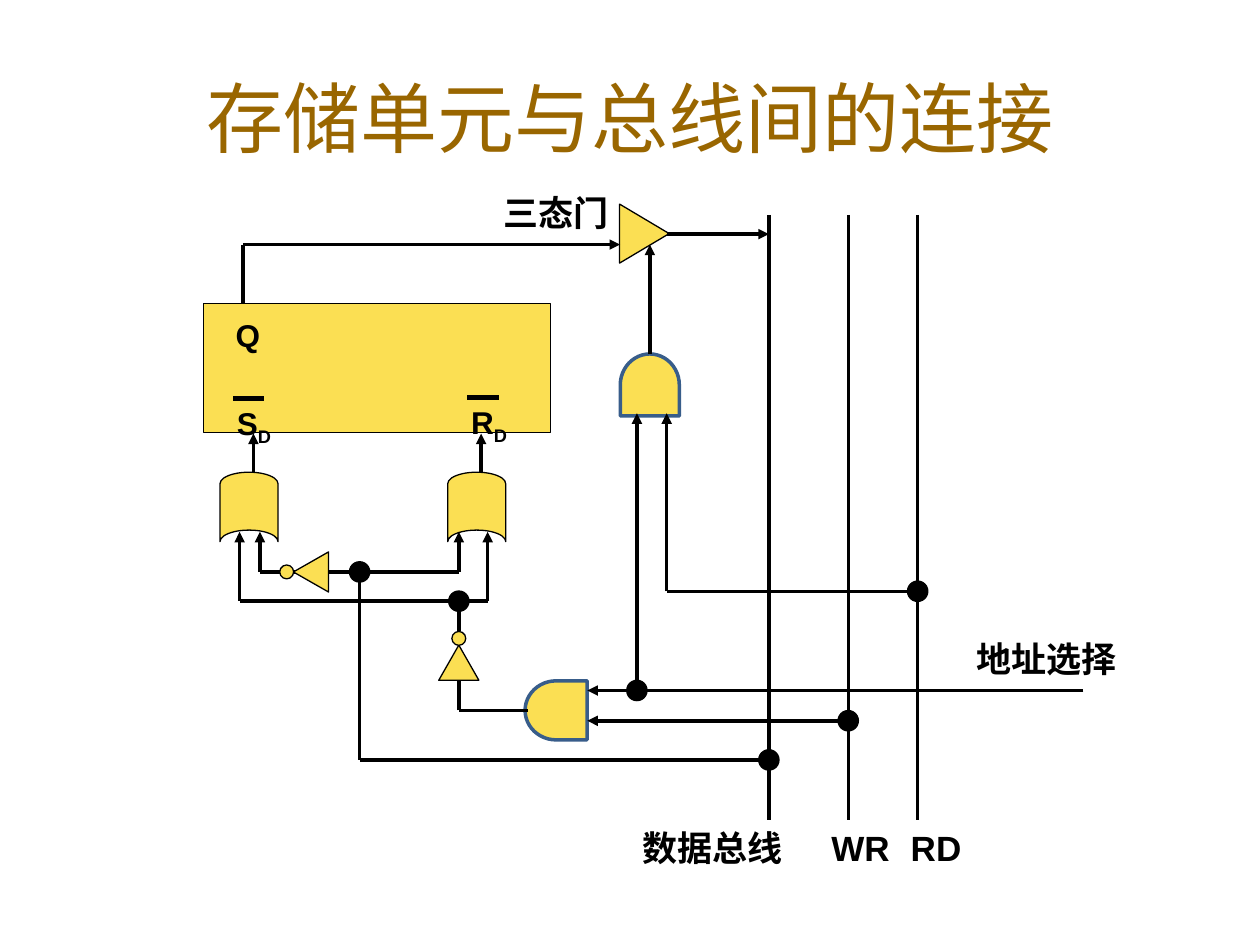
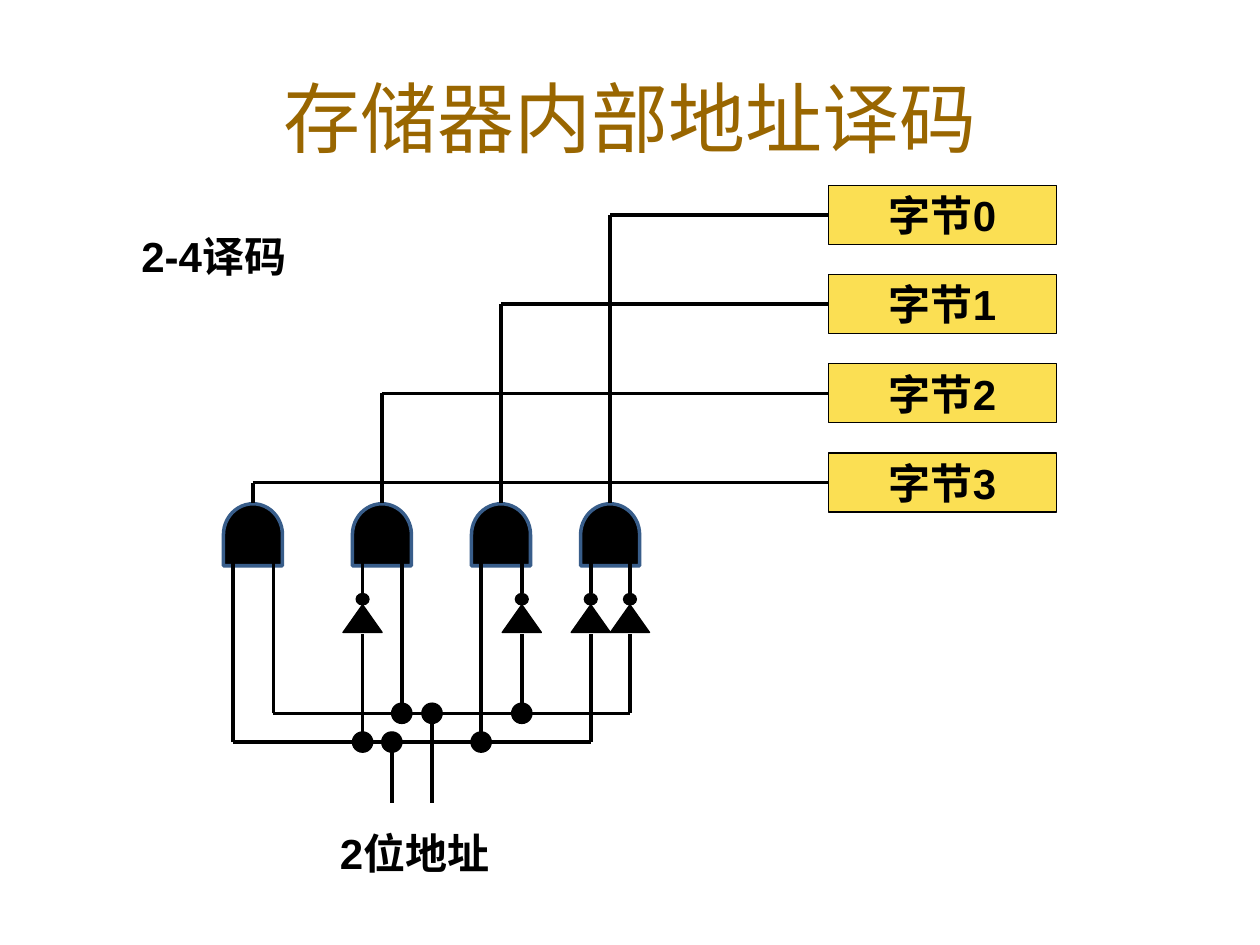
from itertools import pairwise

from lxml.etree import SubElement
from pptx import Presentation
from pptx.dml.color import RGBColor
from pptx.enum.shapes import MSO_CONNECTOR, MSO_SHAPE
from pptx.enum.text import MSO_ANCHOR, MSO_AUTO_SIZE, PP_ALIGN
from pptx.oxml.ns import qn
from pptx.util import Cm, Pt

COLORS = {
    "title": "996600",
    "ink": "000000",
    "block": "FBDF53",
    "gate_edge": "385D8A",
}
FONT = "Arial"
LEFT_SIDE = 1


def rgb(name):
    return RGBColor.from_string(COLORS[name])


class CircuitDeck:
    """Holds the presentation, its style and the slide being drawn; lengths are in cm."""

    def __init__(self):
        self.deck = Presentation()
        self.deck.slide_width, self.deck.slide_height = Cm(25.4), Cm(19.05)
        self.slide = None

    def new_slide(self, title):
        self.slide = self.deck.slides.add_slide(self.deck.slide_layouts[5])
        heading = self.slide.shapes.title
        heading.left, heading.top = Cm(1.27), Cm(0.76)
        heading.width, heading.height = Cm(22.86), Cm(3.18)
        frame = heading.text_frame
        frame.vertical_anchor = MSO_ANCHOR.MIDDLE
        frame.paragraphs[0].alignment = PP_ALIGN.CENTER
        self.add_run(frame, title, 44, "title", bold=False)

    def add_run(self, frame, text, size, color="ink", bold=True):
        run = frame.paragraphs[0].add_run()
        run.text = text
        font = run.font
        font.name, font.size, font.bold = FONT, Pt(size), bold
        font.color.rgb = rgb(color)
        return run

    def label(self, text, left, top, width, height, size=20, subscript=""):
        box = self.slide.shapes.add_textbox(Cm(left), Cm(top), Cm(width), Cm(height))
        frame = box.text_frame
        frame.word_wrap = False
        frame.auto_size = MSO_AUTO_SIZE.SHAPE_TO_FIT_TEXT
        self.add_run(frame, text, size)
        if subscript:
            frame.paragraphs[0].alignment = PP_ALIGN.CENTER
            lowered = self.add_run(frame, subscript, size)
            lowered.font._element.set("baseline", "-25000")

    def symbol(self, kind, x, y, width, height, fill="block", rotation=0,
               edge="ink", weight=0.75):
        """Draws a preset shape centred on (x, y)."""
        shape = self.slide.shapes.add_shape(
            kind, Cm(x - width / 2), Cm(y - height / 2), Cm(width), Cm(height))
        shape.shadow.inherit = False
        shape.rotation = rotation
        shape.fill.solid()
        shape.fill.fore_color.rgb = rgb(fill)
        shape.line.color.rgb = rgb(edge)
        shape.line.width = Pt(weight)
        return shape

    def block(self, x, y, width, height, text=""):
        block = self.symbol(MSO_SHAPE.RECTANGLE, x, y, width, height)
        if text:
            frame = block.text_frame
            frame.word_wrap = False
            frame.vertical_anchor = MSO_ANCHOR.MIDDLE
            frame.paragraphs[0].alignment = PP_ALIGN.CENTER
            self.add_run(frame, text, 24)
        return block

    def and_gate(self, x, y, rotation=270, fill="block"):
        self.symbol(MSO_SHAPE.FLOWCHART_DELAY, x, y, 1.25, 1.19, fill, rotation,
                    "gate_edge", 2)

    def or_gate(self, x, y):
        self.symbol(MSO_SHAPE.FLOWCHART_STORED_DATA, x, y, 1.4, 1.17, rotation=90)

    def triangle(self, x, y, width, height, rotation=0, fill="block"):
        self.symbol(MSO_SHAPE.ISOSCELES_TRIANGLE, x, y, width, height, fill, rotation)

    def bubble(self, x, y, width=0.28, height=0.28, fill="block"):
        self.symbol(MSO_SHAPE.OVAL, x, y, width, height, fill)

    def junction(self, x, y):
        self.bubble(x, y, 0.41, 0.41, "ink")

    def wire(self, *points, start_arrow=False, end_arrow=False, weight=2):
        """Joins the points with straight segments and returns the last one."""
        segments = []
        for (x1, y1), (x2, y2) in pairwise(points):
            segment = self.slide.shapes.add_connector(
                MSO_CONNECTOR.STRAIGHT, Cm(x1), Cm(y1), Cm(x2), Cm(y2))
            segment.line.color.rgb = rgb("ink")
            segment.line.width = Pt(weight)
            SubElement(segment._element.spPr, qn("a:effectLst"))
            segments.append(segment)
        if start_arrow:
            self.arrowhead(segments[0], "a:headEnd")
        if end_arrow:
            self.arrowhead(segments[-1], "a:tailEnd")
        return segments[-1]

    def arrowhead(self, segment, end):
        SubElement(segment.line._get_or_add_ln(), qn(end), type="triangle")


def draw_bus_connection(deck):
    deck.new_slide("存储单元与总线间的连接")
    data_x, write_x, read_x = 15.5, 17.1, 18.5
    set_x, reset_x = 5.02, 9.61
    data_tap_x, inverter_x = 7.25, 9.25
    data_y, select_y = 11.53, 12.12
    read_gate_x, write_gate_y = 13.1, 14.32
    address_x, address_y = 12.84, 13.92

    for bus_x in (data_x, write_x, read_x):
        deck.wire((bus_x, 4.33), (bus_x, 16.53))

    # Storage cell
    deck.block(7.6, 7.42, 7, 2.6)
    deck.label("Q", 4.5, 6.25, 1.05, 1.02, 18)
    for name, left, top, bar_x in (("S", 4.46, 8.03, 4.7), ("R", 9.2, 8.01, 9.42)):
        deck.label(name, left, top, 1.32, 1.12, 18, subscript="D")
        deck.wire((bar_x, top), (bar_x + 0.63, top), weight=3)

    # Gates
    for gate_x in (set_x, reset_x):
        deck.or_gate(gate_x, 10.22)
        deck.wire((gate_x + 0.09, 9.53), (gate_x + 0.09, 8.74), end_arrow=True)
    deck.triangle(12.99, 4.71, 1.19, 1, rotation=90)
    deck.and_gate(read_gate_x, 7.76)
    deck.and_gate(11.21, write_gate_y, rotation=180)

    # Read path
    deck.wire((4.9, 6.12), (4.9, 4.93), (12.5, 4.93), end_arrow=True)
    deck.wire((13.44, 4.72), (data_x, 4.72), end_arrow=True)
    deck.wire((read_gate_x, 7.14), (read_gate_x, 4.93), end_arrow=True)
    deck.wire((read_x, 11.92), (13.44, 11.92), (13.44, 8.33), end_arrow=True)
    deck.wire((address_x, address_y), (address_x, 8.33), end_arrow=True)

    # Write path
    deck.wire((21.84, address_y), (11.84, address_y), end_arrow=True)
    deck.wire((write_x, 14.53), (11.84, 14.53), end_arrow=True)
    deck.wire((10.64, write_gate_y), (inverter_x, write_gate_y), (inverter_x, 13.72))
    deck.wire((inverter_x, 12.73), (inverter_x, select_y))
    deck.wire((data_x, 15.32), (data_tap_x, 15.32), (data_tap_x, data_y))
    for left_x, right_x, y in ((5.24, 9.25, data_y), (4.83, 9.83, select_y)):
        deck.wire((left_x, 10.72), (left_x, y), (right_x, y), (right_x, 10.72),
                  start_arrow=True, end_arrow=True)

    # Inverters
    deck.triangle(6.27, data_y, 0.81, 0.71, rotation=270)
    deck.bubble(5.78, data_y)
    deck.triangle(inverter_x, 13.36, 0.81, 0.71)
    deck.bubble(inverter_x, 12.87)

    for x, y in ((data_x, 15.32), (write_x, 14.53), (read_x, 11.92),
                 (address_x, address_y), (inverter_x, select_y), (data_tap_x, data_y)):
        deck.junction(x, y)

    for text, left, top, width in (
            ("地址选择", 19.43, 12.73, 3.4), ("数据总线", 12.7, 16.54, 3.4),
            ("WR", 16.51, 16.54, 1.76), ("RD", 18.11, 16.54, 1.62),
            ("三态门", 9.9, 3.73, 2.7)):
        deck.label(text, left, top, width, 1.12)


def draw_address_decoder(deck):
    deck.new_slide("存储器内部地址译码")
    deck.label("2-4译码", 2.6, 4.52, 3.7, 1.27, 24)
    deck.label("2位地址", 6.6, 16.56, 3.85, 1.27, 24)

    for index, gate_x in enumerate((12.3, 10.1, 7.7, 5.1)):
        row_y = 4.33 + 1.8 * index
        byte = deck.block(19, row_y, 4.6, 1.19, f"字节{index}")
        deck.and_gate(gate_x, 10.78, fill="ink")
        output = deck.wire((gate_x, 10.14), (gate_x, row_y), (16.7, row_y))
        output.end_connect(byte, LEFT_SIDE)

    # Each address line: height, feed, direct taps, inverted taps
    address_lines = (
        (14.96, 7.9, (4.7, 9.7), (7.31, 11.91)),
        (14.38, 8.71, (5.51, 8.1), (10.52, 12.7)),
    )
    for line_y, feed_x, direct, inverted in address_lines:
        first_x, *inner, last_x = sorted(direct + inverted)
        deck.wire((first_x, line_y), (last_x, line_y))
        deck.wire((feed_x, 16.18), (feed_x, line_y))
        for x in direct:
            deck.wire((x, line_y), (x, 11.35))
        for x in inverted:
            deck.wire((x, line_y), (x, 12.78))
            deck.triangle(x, 12.47, 0.79, 0.56, fill="ink")
            deck.bubble(x, 12.08, 0.26, 0.23, "ink")
            deck.wire((x, 11.96), (x, 11.35))
        for x in (*inner, feed_x):
            deck.junction(x, line_y)


def main():
    circuits = CircuitDeck()
    draw_bus_connection(circuits)
    draw_address_decoder(circuits)
    circuits.deck.save("out.pptx")


if __name__ == "__main__":
    main()
